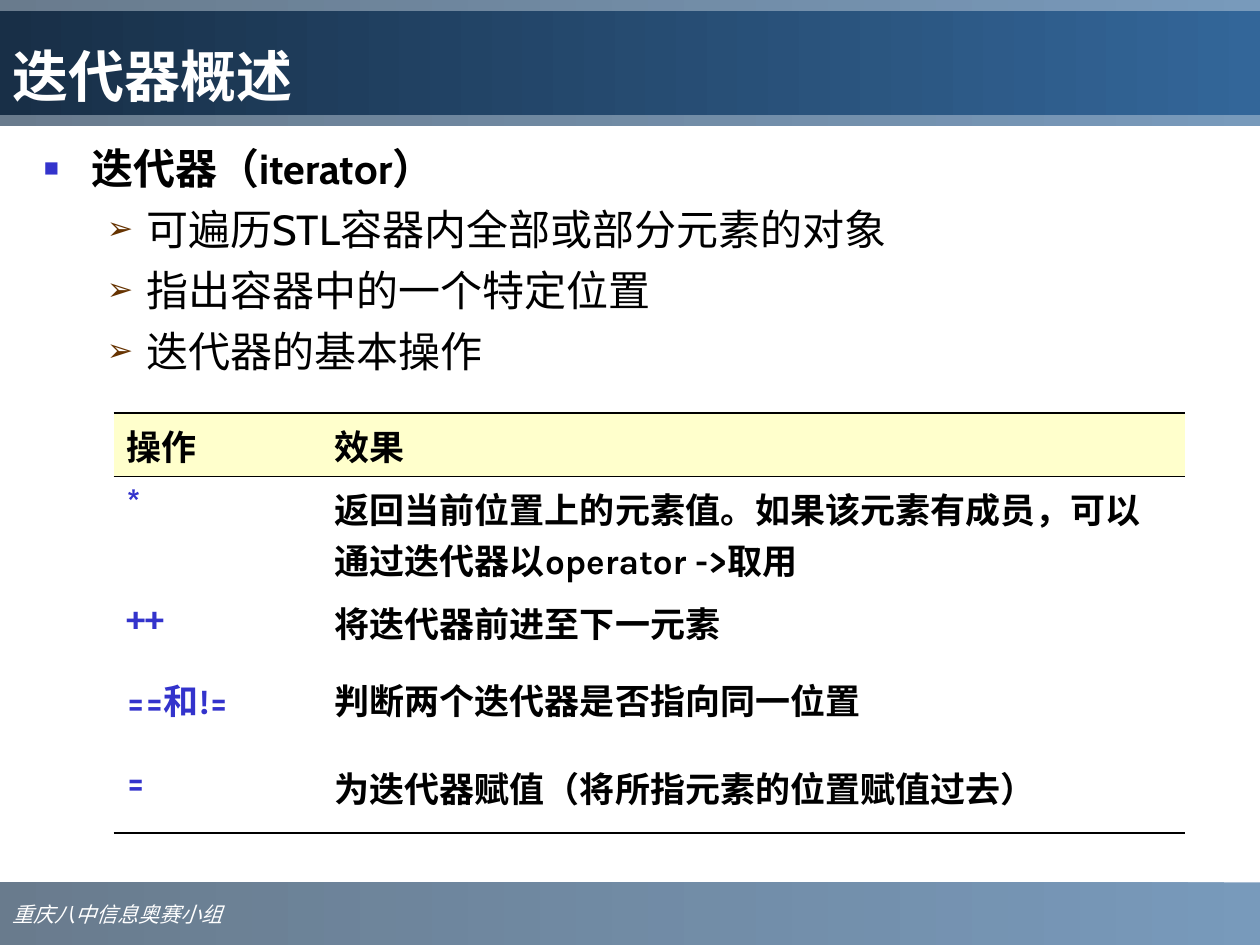
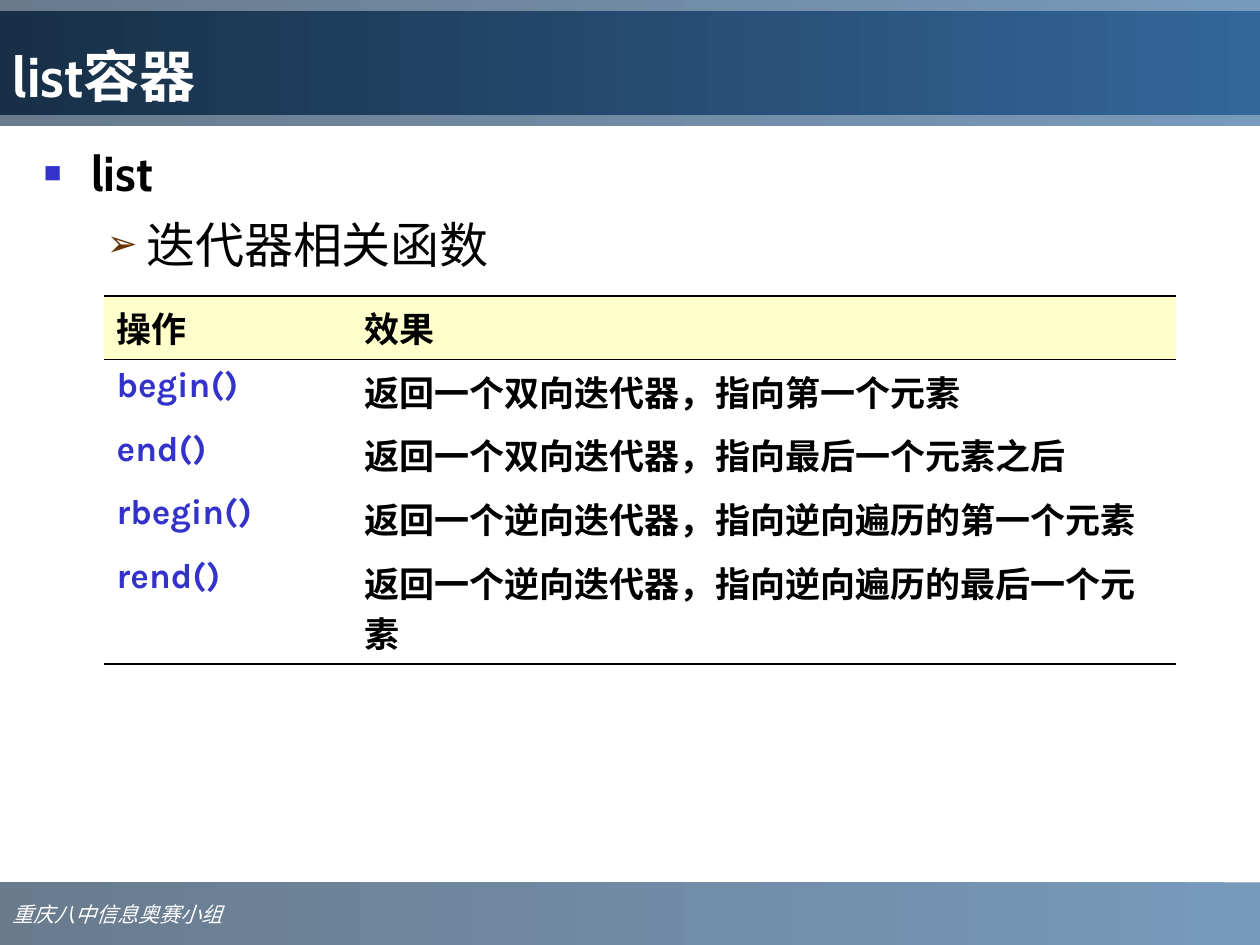
"""Build two slides on iterators and the list container."""

from dataclasses import dataclass

from lxml.etree import SubElement
from pptx import Presentation
from pptx.dml.color import RGBColor
from pptx.enum.shapes import MSO_SHAPE
from pptx.enum.text import MSO_ANCHOR, PP_ALIGN
from pptx.oxml.ns import qn
from pptx.util import Pt

FOOTER = "重庆八中信息奥赛小组"
TABLE_HEADER = ("操作", "效果")
ONE_LINE, TWO_LINES = 36.3, 65.2
SLIDES = [
    {
        "title": "迭代器概述",
        "body_size": 24,
        "space_before": 6,
        "body": [
            (0, "迭代器（iterator）"),
            (1, "可遍历STL容器内全部或部分元素的对象"),
            (1, "指出容器中的一个特定位置"),
            (1, "迭代器的基本操作"),
        ],
        "table_corner": (65, 236),
        "columns": (119, 493),
        "row_heights": (ONE_LINE, TWO_LINES, 44, 50.4, 44),
        "rows": [
            ("*", "返回当前位置上的元素值。如果该元素有成员，可以通过迭代器以operator ->取用"),
            ("++", "将迭代器前进至下一元素"),
            ("==和!=", "判断两个迭代器是否指向同一位置"),
            ("=", "为迭代器赋值（将所指元素的位置赋值过去）"),
        ],
    },
    {
        "title": "list容器",
        "body_size": 28,
        "space_before": 7.4,
        "body": [(0, "list"), (1, "迭代器相关函数")],
        "table_corner": (59.5, 169),
        "columns": (141.6, 470.8),
        "row_heights": (ONE_LINE, ONE_LINE, ONE_LINE, 36.5, TWO_LINES),
        "rows": [
            ("begin()", "返回一个双向迭代器，指向第一个元素"),
            ("end()", "返回一个双向迭代器，指向最后一个元素之后"),
            ("rbegin()", "返回一个逆向迭代器，指向逆向遍历的第一个元素"),
            ("rend()", "返回一个逆向迭代器，指向逆向遍历的最后一个元素"),
        ],
    },
]


@dataclass(frozen=True)
class Theme:
    white: str = "FFFFFF"
    black: str = "000000"
    accent: str = "3333CC"
    arrow: str = "663300"
    header_fill: str = "FFFFCC"
    band_light: str = "336699"
    band_dark: str = "1C3853"
    title_dark: str = "182F47"
    band_alpha: int = 66
    text_font: str = "Cabin"
    table_font: str = "Karla"
    footer_font: str = "Arial"
    title_size: int = 32
    table_size: int = 20
    footer_size: int = 12
    thick_line: float = 1.08
    thin_line: float = 0.75


THEME = Theme()
WIDTH, HEIGHT = 720, 540
FOOTER_BOX = (0, 504.3, WIDTH, 36)
TOP_BOX = (0, 0, WIDTH, 72)
TITLE_BOX = (0, 6, WIDTH, 59.5)
BODY_BOX = (18, 78, 678, 420)
BULLETS = [
    {"character": "■", "color": THEME.accent, "percent": 60, "left": 27, "hang": 27},
    {"character": "➢", "color": THEME.arrow, "percent": 75, "left": 58.5, "hang": 22.5},
]
PLAIN_TABLE_STYLE = "{2D5ABB26-0587-4C30-8999-92F81FD0307C}"


def points(values):
    return [Pt(value) for value in values]


def apply_format(target, formats):
    for name, value in formats.items():
        setattr(target, name, value)


def add_run(paragraph, text, color, east_asian=None, **formats):
    run = paragraph.add_run()
    run.text = text
    apply_format(run.font, formats)
    run.font.color.rgb = RGBColor.from_string(color)
    if east_asian:
        latin = run.font._element.find(qn("a:latin"))
        element = SubElement(run.font._element, qn("a:ea"), typeface=east_asian)
        latin.addnext(element)


def add_band(slide, box, dark, alpha=None):
    shape = slide.shapes.add_shape(MSO_SHAPE.RECTANGLE, *points(box))
    shape.shadow.inherit = False
    shape.line.fill.background()
    shape.fill.gradient()
    shape.fill.gradient_angle = 180
    for stop, color in zip(shape.fill.gradient_stops, (THEME.band_light, dark)):
        stop.color.rgb = RGBColor.from_string(color)
    if alpha:
        for color in shape._element.spPr.iter(qn("a:srgbClr")):
            SubElement(color, qn("a:alpha"), val=str(alpha * 1000))
    return shape


def write_band(shape, text, anchor, **formats):
    apply_format(shape.text_frame, {"word_wrap": True, "vertical_anchor": anchor})
    paragraph = shape.text_frame.paragraphs[0]
    paragraph.alignment = PP_ALIGN.LEFT
    add_run(paragraph, text, THEME.white, **formats)


def add_bullet(paragraph, bullet):
    properties = paragraph._p.get_or_add_pPr()
    properties.set("marL", str(Pt(bullet["left"])))
    properties.set("indent", str(-Pt(bullet["hang"])))
    color = SubElement(properties, qn("a:buClr"))
    SubElement(color, qn("a:srgbClr"), val=bullet["color"])
    SubElement(properties, qn("a:buSzPct"), val=str(bullet["percent"] * 1000))
    SubElement(properties, qn("a:buFont"), typeface=THEME.footer_font)
    SubElement(properties, qn("a:buChar"), char=bullet["character"])


def add_body(slide, content):
    frame = slide.shapes.add_textbox(*points(BODY_BOX)).text_frame
    frame.word_wrap = True
    for index, (level, text) in enumerate(content["body"]):
        paragraph = frame.add_paragraph() if index else frame.paragraphs[0]
        add_bullet(paragraph, BULLETS[level])
        paragraph.level = level
        if index:
            paragraph.space_before = Pt(content["space_before"])
        add_run(paragraph, text, THEME.black, THEME.text_font, name=THEME.text_font,
                size=Pt(content["body_size"]), bold=level == 0)


def add_border(cell, side, width):
    line = SubElement(cell._tc.get_or_add_tcPr(), qn(f"a:{side}"), w=str(Pt(width)))
    if width:
        fill = SubElement(line, qn("a:solidFill"))
        SubElement(fill, qn("a:srgbClr"), val=THEME.black)
    else:
        SubElement(line, qn("a:noFill"))


def cell_borders(row, last_row):
    top = {0: THEME.thick_line, 1: THEME.thin_line}
    bottom = {0: THEME.thin_line, last_row: THEME.thick_line}
    return {"lnL": 0, "lnR": 0, "lnT": top.get(row, 0), "lnB": bottom.get(row, 0)}


def add_operations_table(slide, content):
    rows = [TABLE_HEADER, *content["rows"]]
    size = (sum(content["columns"]), sum(content["row_heights"]))
    frame = slide.shapes.add_table(len(rows), len(TABLE_HEADER),
                                   *points(content["table_corner"] + size))
    table = frame.table
    apply_format(table, {"first_row": False, "horz_banding": False})
    table._tbl.tblPr.find(qn("a:tableStyleId")).text = PLAIN_TABLE_STYLE
    for column, width in zip(table.columns, content["columns"]):
        column.width = Pt(width)
    for row, height in zip(table.rows, content["row_heights"]):
        row.height = Pt(height)
    for row_index, texts in enumerate(rows):
        for column_index, text in enumerate(texts):
            cell = table.cell(row_index, column_index)
            for side, width in cell_borders(row_index, len(rows) - 1).items():
                add_border(cell, side, width)
            if row_index == 0:
                cell.fill.solid()
                cell.fill.fore_color.rgb = RGBColor.from_string(THEME.header_fill)
            else:
                cell.fill.background()
            is_operation = row_index > 0 and column_index == 0
            add_run(cell.text_frame.paragraphs[0], text,
                    THEME.accent if is_operation else THEME.black,
                    name=THEME.table_font, size=Pt(THEME.table_size), bold=True)


def add_slide(presentation, content):
    slide = presentation.slides.add_slide(presentation.slide_layouts[6])
    footer = add_band(slide, FOOTER_BOX, THEME.band_dark, THEME.band_alpha)
    write_band(footer, FOOTER, MSO_ANCHOR.MIDDLE, name=THEME.footer_font,
               size=Pt(THEME.footer_size), italic=True)
    add_band(slide, TOP_BOX, THEME.band_dark, THEME.band_alpha)
    title = add_band(slide, TITLE_BOX, THEME.title_dark)
    write_band(title, content["title"], MSO_ANCHOR.BOTTOM, east_asian=THEME.text_font,
               name=THEME.text_font, size=Pt(THEME.title_size), bold=True)
    add_body(slide, content)
    add_operations_table(slide, content)


def main():
    presentation = Presentation()
    apply_format(presentation, {"slide_width": Pt(WIDTH), "slide_height": Pt(HEIGHT)})
    for content in SLIDES:
        add_slide(presentation, content)
    presentation.save("out.pptx")


if __name__ == "__main__":
    main()
